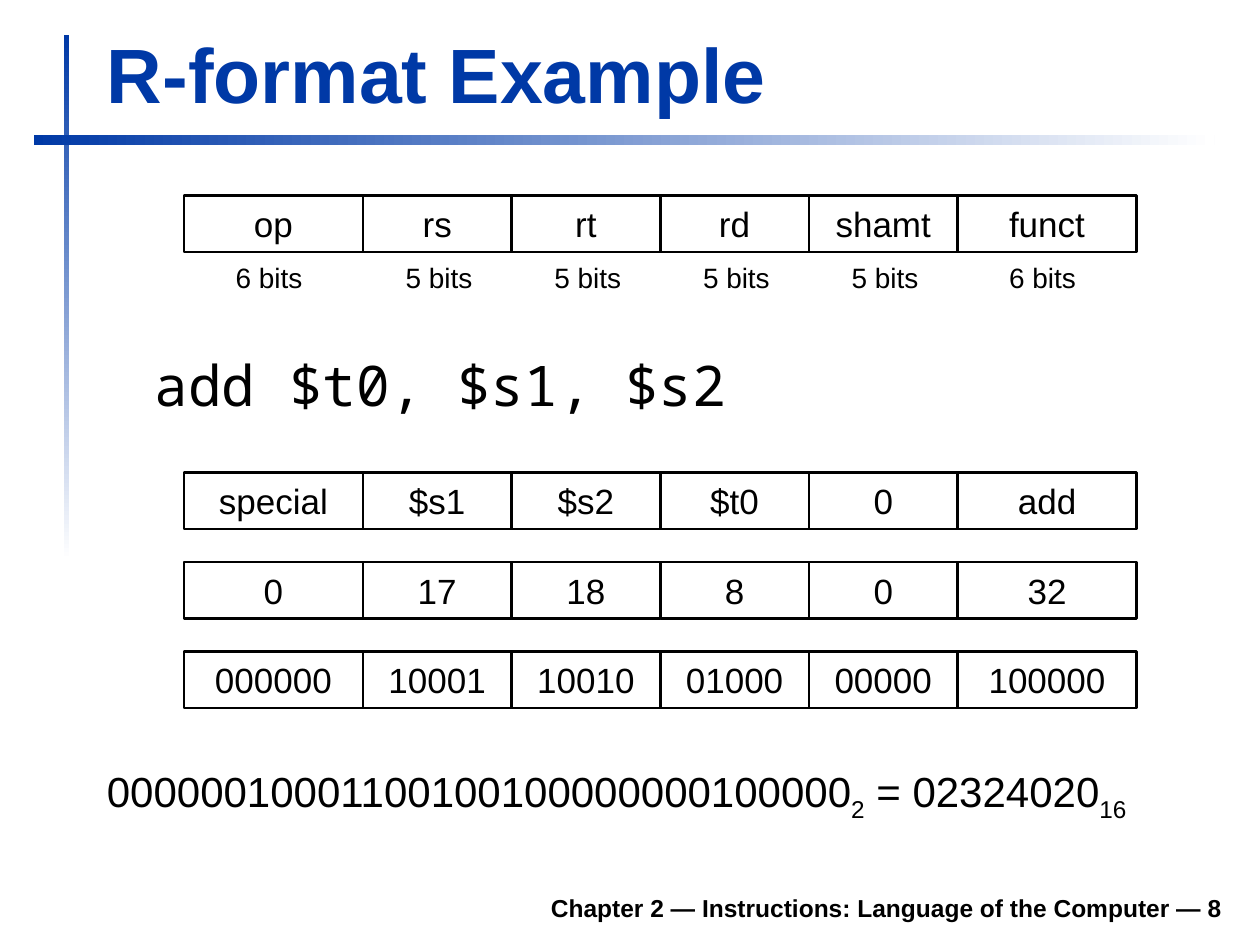
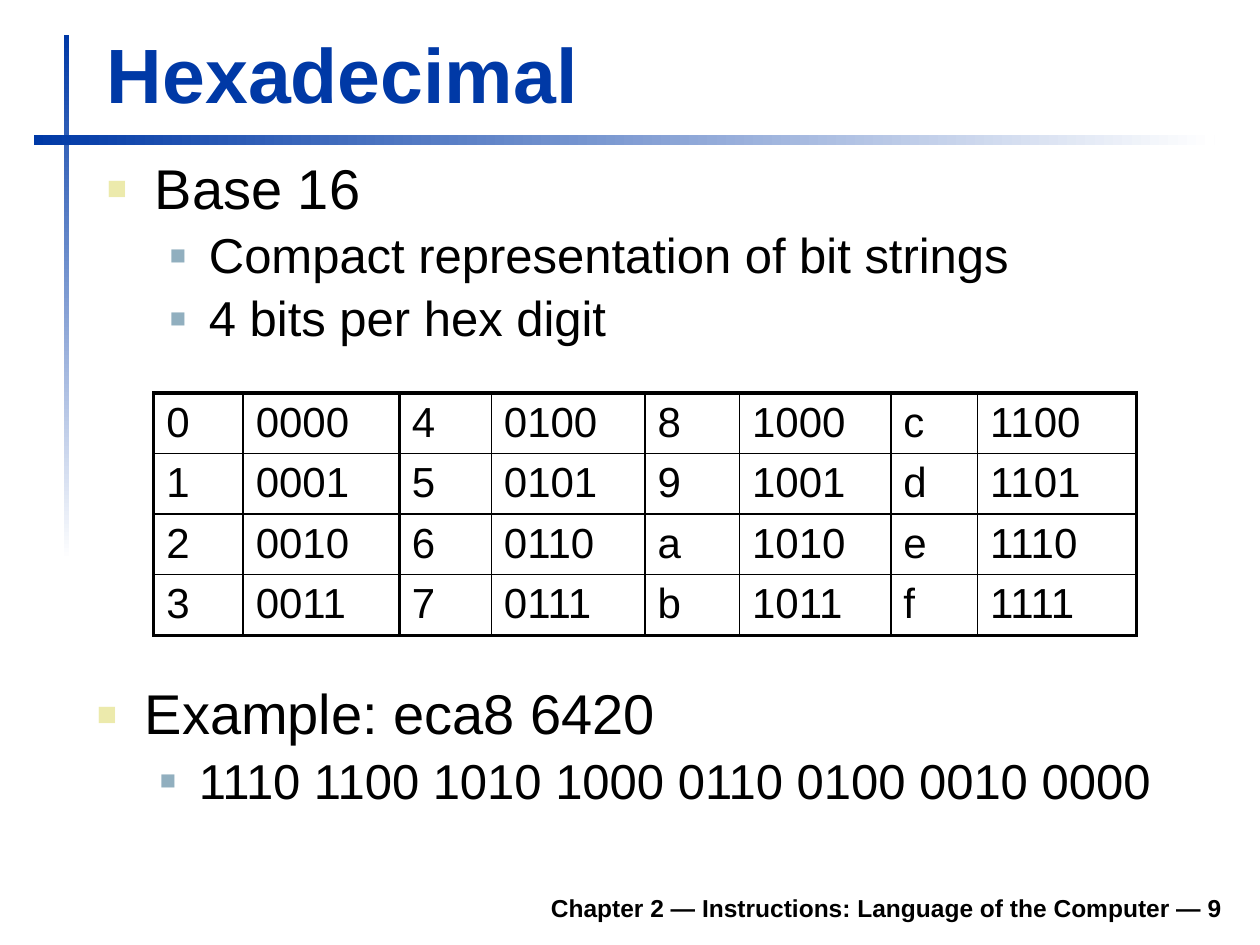
from dataclasses import dataclass
from itertools import accumulate

from lxml import etree
from pptx import Presentation
from pptx.dml.color import RGBColor
from pptx.enum.shapes import MSO_SHAPE
from pptx.enum.text import MSO_ANCHOR, PP_ALIGN
from pptx.oxml.ns import qn
from pptx.util import Inches, Pt


@dataclass(frozen=True)
class Theme:
    font: str = "Arial"
    code_font: str = "Noto Sans Mono"
    blue: str = "0039A6"
    white: str = "FFFFFF"
    ink: str = "000000"
    title: int = 44
    code: int = 32
    number: int = 24
    field: int = 20
    label: int = 16
    footer: int = 14
    # Per outline level: size, left margin, hang, bullet colour, bullet percent
    levels: tuple = ((32, 0.38, 0.38, "ECEAAC", 60), (28, 0.81, 0.31, "91AFBF", 55))
    # Border widths in points
    outer: float = 2.25
    group: float = 1.5
    inner: float = 1


def rgb(color):
    return RGBColor.from_string(color)


def add_xml(parent, tag, **attributes):
    return etree.SubElement(parent, qn(tag), attributes)


class Deck:
    def __init__(self, theme):
        self.theme = theme
        self.prs = Presentation()
        self.prs.slide_width, self.prs.slide_height = Inches(10), Inches(7.5)
        self.slide = None

    # Shared frame: bands, footer and title
    def start_slide(self, title, number):
        t = self.theme
        self.slide = self.prs.slides.add_slide(self.prs.slide_layouts[6])
        self.band(0.51, 0.28, 0.04, 4.17, 270)
        self.band(0.27, 1.07, 9.37, 0.08, 0)
        footer = self.text_box(1.85, 6.98, 7.95, 0.39, MSO_ANCHOR.BOTTOM).paragraphs[0]
        footer.alignment = PP_ALIGN.RIGHT
        self.run(footer, f"Chapter 2 — Instructions: Language of the Computer — {number}",
                 t.footer, bold=True)
        heading = self.text_box(0.75, 0.16, 9.03, 0.83, MSO_ANCHOR.BOTTOM).paragraphs[0]
        self.run(heading, title, t.title, t.blue, bold=True)

    def band(self, x, y, w, h, angle):
        shape = self.rectangle(x, y, w, h)
        shape.line.fill.background()
        shape.fill.gradient()
        shape.fill.gradient_angle = angle
        stops = shape.fill.gradient_stops
        for stop, position, color in zip(stops, (0, 1), (self.theme.blue, self.theme.white)):
            stop.position = position
            stop.color.rgb = rgb(color)

    def rectangle(self, x, y, w, h):
        shape = self.slide.shapes.add_shape(
            MSO_SHAPE.RECTANGLE, Inches(x), Inches(y), Inches(w), Inches(h))
        shape.shadow.inherit = False
        return shape

    # Text
    def text_box(self, x, y, w, h, anchor=MSO_ANCHOR.TOP, wrap=True):
        box = self.slide.shapes.add_textbox(Inches(x), Inches(y), Inches(w), Inches(h))
        frame = box.text_frame
        frame.word_wrap = wrap
        frame.vertical_anchor = anchor
        return frame

    def run(self, paragraph, text, size, color=None, bold=False, font=None, baseline=0):
        run = paragraph.add_run()
        run.text = text
        run.font.size = Pt(size)
        run.font.name = font or self.theme.font
        run.font.bold = bold
        run.font.color.rgb = rgb(color or self.theme.ink)
        if baseline:
            run.font.fill  # the fill stays ahead of the raised or lowered setting
            run.font._element.set("baseline", str(baseline * 1000))

    def space_and_indent(self, paragraph, margin, hang=0):
        props = paragraph._p.get_or_add_pPr()
        props.set("marL", str(Inches(margin)))
        props.set("indent", str(-Inches(hang)))
        add_xml(add_xml(props, "a:spcBef"), "a:spcPct", val="20000")
        return props

    def bullets(self, x, y, w, h, items):
        frame = self.text_box(x, y, w, h)
        for i, (level, text) in enumerate(items):
            size, margin, hang, color, percent = self.theme.levels[level]
            paragraph = frame.add_paragraph() if i else frame.paragraphs[0]
            paragraph.level = level
            props = self.space_and_indent(paragraph, margin, hang)
            add_xml(add_xml(props, "a:buClr"), "a:srgbClr", val=color)
            add_xml(props, "a:buSzPct", val=str(percent * 1000))
            add_xml(props, "a:buFont", typeface=self.theme.font)
            add_xml(props, "a:buChar", char="■")
            paragraph.line_spacing = 0.9
            self.run(paragraph, text, size)

    # Instruction layout
    def field_row(self, y, lefts, widths, values):
        for x, w, value in zip(lefts, widths, values):
            box = self.rectangle(x, y, w, 0.45)
            box.fill.background()
            box.line.color.rgb = rgb(self.theme.ink)
            box.line.width = Pt(self.theme.group)
            paragraph = box.text_frame.paragraphs[0]
            paragraph.alignment = PP_ALIGN.CENTER
            self.run(paragraph, value, self.theme.field)

    def bit_label(self, x, y, bits):
        paragraph = self.text_box(x, y, 0.73, 0.37, wrap=False).paragraphs[0]
        paragraph.alignment = PP_ALIGN.CENTER
        self.run(paragraph, f"{bits} bits", self.theme.label)

    # Table
    def table(self, x, y, widths, row_height, rows):
        t = self.theme
        n_rows, n_cols = len(rows), len(widths)
        table = self.slide.shapes.add_table(
            n_rows, n_cols, Inches(x), Inches(y),
            Inches(sum(widths)), Inches(row_height * n_rows)).table
        table.first_row = table.horz_banding = False
        for column, width in zip(table.columns, widths):
            column.width = Inches(width)
        # Digit and code share a pair of columns; pairs are split by a heavier rule
        upright = [t.inner if i % 2 else t.group for i in range(n_cols + 1)]
        upright[0] = upright[-1] = t.outer
        level = [t.outer] + [t.inner] * (n_rows - 1) + [t.outer]
        for r, values in enumerate(rows):
            table.rows[r].height = Inches(row_height)
            for c, value in enumerate(values):
                cell = table.cell(r, c)
                cell.margin_top, cell.margin_bottom = Inches(0.05), Inches(0.03)
                self.run(cell.text_frame.paragraphs[0], value, t.number)
                self.borders(cell, L=upright[c], R=upright[c + 1], T=level[r], B=level[r + 1])
                cell.fill.background()

    def borders(self, cell, **sides):
        props = cell._tc.get_or_add_tcPr()
        for side, width in sides.items():
            line = add_xml(props, f"a:ln{side}", w=str(Pt(width)))
            add_xml(add_xml(line, "a:solidFill"), "a:srgbClr", val=self.theme.ink)


theme = Theme()
deck = Deck(theme)

# Slide: R-format example
deck.start_slide("R-format Example", 8)
bits = (6, 5, 5, 5, 5, 6)
widths = [1.42 if b == 6 else 1.18 for b in bits]
lefts = list(accumulate(widths[:-1], initial=1.46))
deck.field_row(1.55, lefts, widths, ("op", "rs", "rt", "rd", "shamt", "funct"))
for left, count in zip(lefts, bits):
    deck.bit_label(left + (0.31 if count == 6 else 0.24), 2.02, count)

instruction = deck.text_box(0.75, 2.73, 9.05, 0.71).paragraphs[0]
deck.space_and_indent(instruction, 0.38)
deck.run(instruction, "add $t0, $s1, $s2", theme.code, font=theme.code_font)

encodings = (
    ("special", "$s1", "$s2", "$t0", "0", "add"),
    ("0", "17", "18", "8", "0", "32"),
    ("000000", "10001", "10010", "01000", "00000", "100000"),
)
for i, values in enumerate(encodings):
    deck.field_row(3.75 + 0.71 * i, lefts, widths, values)

word = deck.text_box(0.75, 6.03, 8.9, 0.55).paragraphs[0]
deck.space_and_indent(word, 0.38, 0.38)
for text, baseline in (("".join(encodings[-1]).replace("00000010001100100100000000100000",
                                                       "00000010001100100100000000100000"), 0),
                       ("2", -25), (" = 02324020", 0), ("16", -25)):
    deck.run(word, text, theme.number, baseline=baseline)

# Slide: hexadecimal
deck.start_slide("Hexadecimal", 9)
deck.bullets(0.75, 1.23, 9.05, 1.73, (
    (0, "Base 16"),
    (1, "Compact representation of bit strings"),
    (1, "4 bits per hex digit"),
))
digits = [[text for value in range(row, 16, 4) for text in (f"{value:x}", f"{value:04b}")]
          for row in range(4)]
deck.table(1.22, 3.12, (0.71, 1.24, 0.73, 1.22, 0.75, 1.2, 0.69, 1.26), 0.47, digits)
deck.bullets(0.67, 5.4, 9.05, 1.26, (
    (0, "Example: eca8 6420"),
    (1, "1110 1100 1010 1000 0110 0100 0010 0000"),
))

deck.prs.save("out.pptx")
